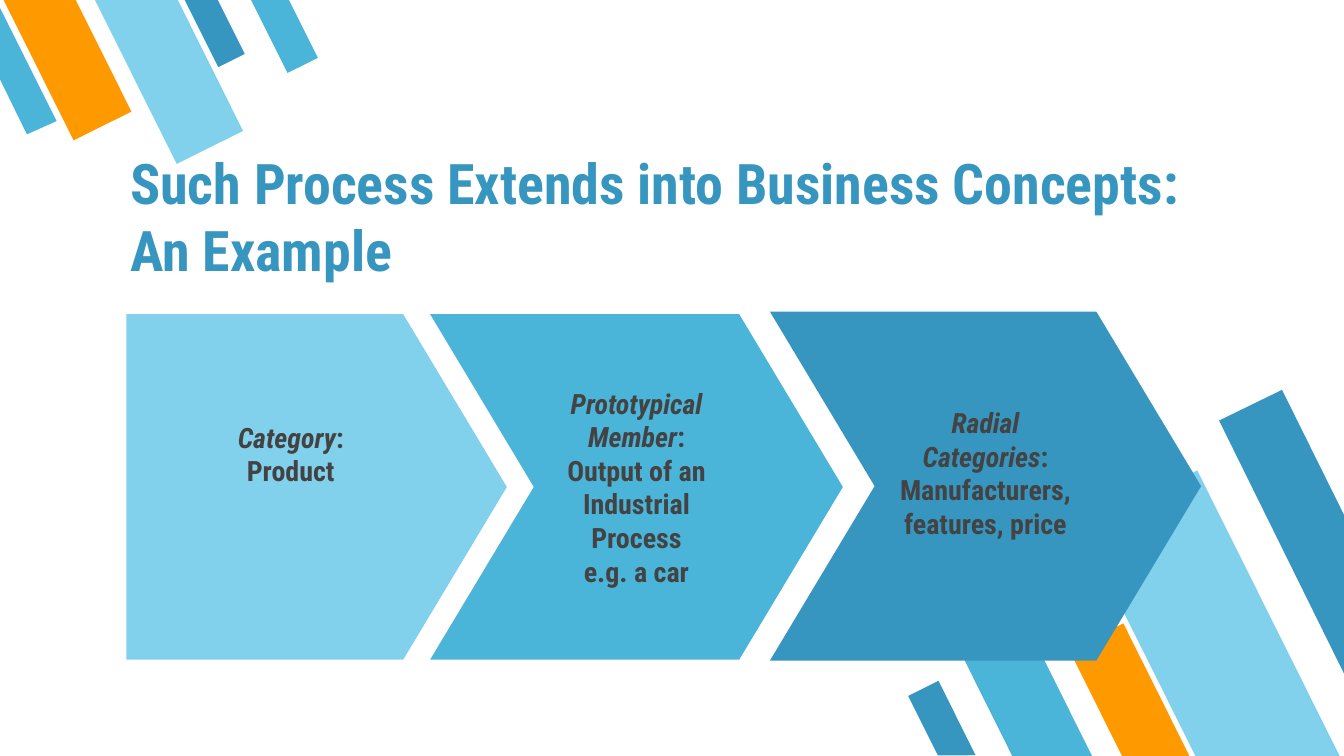
import pptx
import pptx.util
import pptx.dml.color
import pptx.enum.shapes
import pptx.enum.text

Cm, Pt = pptx.util.Cm, pptx.util.Pt
MSO = pptx.enum.shapes.MSO_SHAPE
ALIGN = pptx.enum.text.PP_ALIGN
ANCHOR = pptx.enum.text.MSO_ANCHOR

# Content
COLORS = {"light": "81D1EC", "mid": "4BB5D9", "dark": "3796BF",
          "orange": "FF9900", "text": "434343"}
FONT = "Roboto Condensed"
INSET = 0.25
TITLE = "Such Process Extends into Business Concepts: An Example"

# Rotation, then bars as (left, top, width, height, color) in cm
BARS = {
    153.5: [(18.62, 11.43, 1.35, 3.35, "mid"),
            (21.67, 9.12, 2.44, 6.07, "light"),
            (20.78, 11.89, 1.14, 2.82, "orange"),
            (17.48, 12.93, 0.64, 1.57, "dark")],
    333.5: [(3.78, -0.2, 0.56, 1.42, "dark"),
            (0.66, -0.46, 1.22, 3, "orange"),
            (2.49, -0.51, 1.4, 3.48, "light"),
            (5.05, -0.25, 0.64, 1.57, "mid")],
}
# Bars cut off by the slide edge
CUT_BARS = [
    ("dark", [(24.23, 7.37), (23.04, 7.95), (25.4, 12.73), (25.4, 9.73)]),
    ("mid", [(0.51, 2.54), (1.07, 2.29), (0, 0.15), (0, 1.5)]),
]
# Shape, box, color, bottom inset, paragraphs of (text, italic) runs
STEPS = [
    (MSO.PENTAGON, (2.39, 5.94, 7.19, 6.53), "light", 1.5,
     [[("Category", True), (":", False)], [("Product", False)]]),
    (MSO.CHEVRON, (8.13, 5.94, 7.8, 6.53), "mid", INSET,
     [[("Prototypical Member", True), (":", False)],
      [("Output of an Industrial Process", False)],
      [("e.g. a car", False)]]),
    (MSO.CHEVRON, (14.55, 5.89, 8.15, 6.6), "dark", 0.76,
     [[("Radial Categories", True),
       (": Manufacturers, features, price", False)]]),
]


def rgb(name):
    return pptx.dml.color.RGBColor.from_string(COLORS[name])


def paint(sp, color):
    sp.shadow.inherit = False
    sp.fill.solid()
    sp.fill.fore_color.rgb = rgb(color)
    sp.line.fill.background()


def write(tf, paragraphs, size, color, align, anchor, bottom=INSET):
    tf.word_wrap = True
    tf.auto_size = pptx.enum.text.MSO_AUTO_SIZE.NONE
    tf.vertical_anchor = anchor
    tf.margin_left = tf.margin_right = tf.margin_top = Cm(INSET)
    tf.margin_bottom = Cm(bottom)
    for i, runs in enumerate(paragraphs):
        p = tf.add_paragraph() if i else tf.paragraphs[0]
        p.alignment = align
        for text, italic in runs:
            r = p.add_run()
            r.text = text
            r.font.name, r.font.size = FONT, Pt(size)
            r.font.bold, r.font.italic = True, italic
            r.font.color.rgb = rgb(color)


prs = pptx.Presentation()
prs.slide_width, prs.slide_height = Cm(25.4), Cm(14.29)
s = prs.slides.add_slide(prs.slide_layouts[5])

# Corner bars
for rotation, bars in BARS.items():
    for *box, color in bars:
        sp = s.shapes.add_shape(MSO.FLOWCHART_MANUAL_INPUT, *map(Cm, box))
        sp.rotation = rotation
        sp._element.spPr.xfrm.set("flipH", "1")
        paint(sp, color)
for color, points in CUT_BARS:
    start, *rest = [(Cm(x), Cm(y)) for x, y in points]
    fb = s.shapes.build_freeform(*start)
    fb.add_line_segments(rest, close=True)
    paint(fb.convert_to_shape(), color)

# Title, in front of the bars
title = s.shapes.title
title.left, title.top, title.width, title.height = map(Cm, (2.21, 2.59, 20.96, 3))
write(title.text_frame, [[(TITLE, False)]], 30, "dark", ALIGN.LEFT, ANCHOR.BOTTOM)
s.shapes._spTree.append(title._element)

# Process steps
for kind, box, color, bottom, paragraphs in STEPS:
    sp = s.shapes.add_shape(kind, *map(Cm, box))
    sp.adjustments[0] = 0.3
    paint(sp, color)
    write(sp.text_frame, paragraphs, 15, "text", ALIGN.CENTER, ANCHOR.MIDDLE, bottom)

prs.save("out.pptx")
